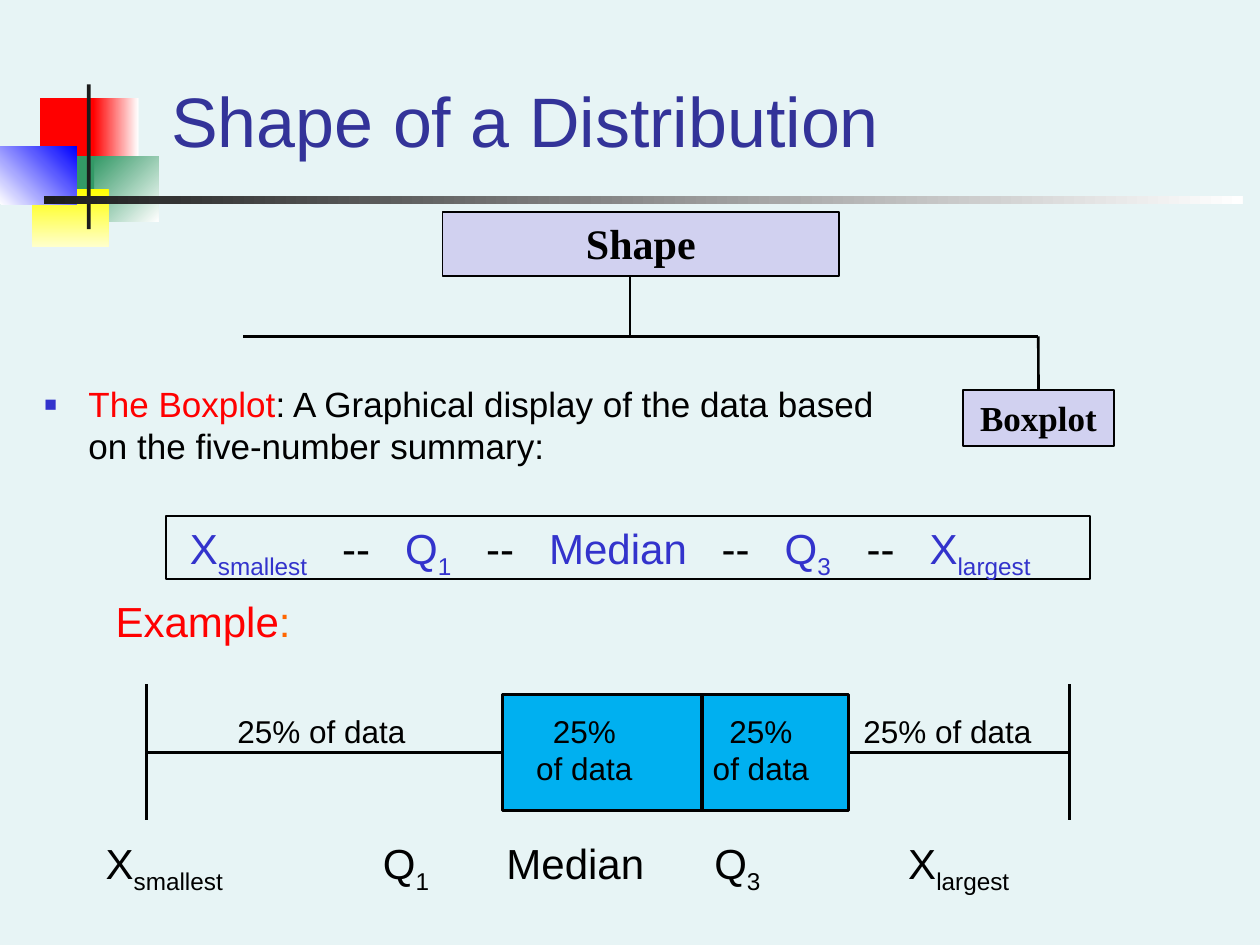
"""Build a slide that explains the boxplot as a view of a distribution's shape."""
from lxml import etree
from pptx import Presentation
from pptx.dml.color import RGBColor
from pptx.enum.shapes import MSO_CONNECTOR, MSO_SHAPE
from pptx.enum.text import MSO_ANCHOR, MSO_AUTO_SIZE, PP_ALIGN
from pptx.oxml.ns import qn
from pptx.util import Cm, Pt

RECT, LINE = MSO_SHAPE.RECTANGLE, MSO_CONNECTOR.STRAIGHT
LEFT, MID = PP_ALIGN.LEFT, PP_ALIGN.CENTER
TOP, LOW = MSO_ANCHOR.TOP, MSO_ANCHOR.BOTTOM
FIXED = MSO_AUTO_SIZE.NONE

BLACK, BLUE, RED = "000000", "3333CC", "FF0000"
LILAC, SKY, SERIF = "D1D1F0", "00B0F0", "Times New Roman"

DECOR = [
    ((0.81, 1.98, 1.22, 1.32), "FF0000", None, 0),
    ((1.88, 1.98, 0.91, 1.32), "FF0000", "FFFFFF", 0),
    ((1.9, 3.15, 1.3, 1.32), "339966", "FFFFFF", 45),
    ((1.09, 3.15, 0.81, 1.32), "339966", None, 0),
    ((0.64, 3.81, 1.55, 1.17), "FFFF00", "FFFFCC", 90),
    ((0, 2.95, 1.55, 1.17), "FFFFFF", "0000FF", 315),
    ((1.75, 1.7, 0.08, 2.92), "1C1C1C", None, 0),
    ((0.89, 3.96, 24.16, 0.15), "1C1C1C", "FFFFFF", 0),
]
INTRO = [("The Boxplot", RED),
         (": A Graphical display of the data based on the five-number summary:", BLACK)]
EXAMPLE = [("Example", RED), (":", "FF6600")]
NAMES = [("X", "smallest"), ("Q", "1"), ("Median", ""), ("Q", "3"), ("X", "largest")]
SHARES = ["\t25% of data\t25%\t25%\t25% of data", "\t\tof data\tof data"]
SUM_TABS = [3.07, 4.34, 5.97, 7.24, 10.72, 11.99, 13.64, 14.91]
NAME_TABS = [5.59, 8.08, 12.27, 16.18]
SHARE_TABS = [2.24, 7.54, 11.1, 14.86]


def rgb(code):
    return RGBColor.from_string(code)


def place(item, box):
    item.left, item.top, item.width, item.height = map(Cm, box)


def add_rect(box, fill=None, end=None, angle=0, line=None):
    rect = slide.shapes.add_shape(RECT, *map(Cm, box))
    rect.shadow.inherit = False
    if end:
        rect.fill.gradient()
        rect.fill.gradient_angle = -angle % 360
        for stop, code in zip(rect.fill.gradient_stops, (fill, end)):
            stop.color.rgb = rgb(code)
    elif fill:
        rect.fill.solid()
        rect.fill.fore_color.rgb = rgb(fill)
    else:
        rect.fill.background()
    if line:
        rect.line.color.rgb = rgb(BLACK)
        rect.line.width = Pt(line)
    else:
        rect.line.fill.background()
    return rect


def add_line(x, y, x2, y2, width, start=None, stop=None):
    line = slide.shapes.add_connector(LINE, *map(Cm, (x, y, x2, y2)))
    line.line.color.rgb = rgb(BLACK)
    line.line.width = Pt(width)
    etree.SubElement(line._element.spPr, qn("a:effectLst"))
    if start:
        line.begin_connect(*start)
    if stop:
        line.end_connect(*stop)


def add_box(box):
    return slide.shapes.add_textbox(*map(Cm, box))


def write(item, rows, size=24, font="Arial", color=BLACK, bold=False,
          align=LEFT, anchor=TOP, wrap=True, tabs=(), tab="l"):
    """Fill a shape with rows of runs: (text, colour, is subscript)."""
    frame = item.text_frame
    frame.word_wrap, frame.vertical_anchor = wrap, anchor
    frame.auto_size = FIXED
    for i, row in enumerate(rows):
        para = frame.add_paragraph() if i else frame.paragraphs[0]
        para.alignment = align
        para.space_before = Pt(0)
        if tabs:
            stops = etree.SubElement(para._p.get_or_add_pPr(), qn("a:tabLst"))
            for pos in tabs:
                etree.SubElement(stops, qn("a:tab"), pos=str(Cm(pos)), algn=tab)
        for text, code, sub in ((*part, None, False)[:3] for part in row):
            run = para.add_run()
            run.text = text
            run.font.size, run.font.name, run.font.bold = Pt(size), font, bold
            run.font.color.rgb = rgb(code or color)
            if sub:
                run._r.get_or_add_rPr().set("baseline", "-25000")


def add_bullet(para):
    props = para._p.get_or_add_pPr()
    props.set("marL", str(Cm(0.89)))
    props.set("indent", str(Cm(-0.89)))
    tint = etree.SubElement(props, qn("a:buClr"))
    etree.SubElement(tint, qn("a:srgbClr"), val=BLUE)
    etree.SubElement(props, qn("a:buSzPct"), val="60000")
    etree.SubElement(props, qn("a:buFont"), typeface="Arial")
    etree.SubElement(props, qn("a:buChar"), char="■")


def join_names(gap, color):
    row = []
    for i, (name, sub) in enumerate(NAMES):
        if i:
            row += [(part, BLACK) for part in gap]
        row.append((name, color))
        if sub:
            row.append((sub, color, True))
    return row


deck = Presentation()
deck.slide_width, deck.slide_height = Cm(25.4), Cm(19.05)
slide = deck.slides.add_slide(deck.slide_layouts[1])
slide.background.fill.solid()
slide.background.fill.fore_color.rgb = rgb("E7F4F5")

for box, fill, end, angle in DECOR:
    add_rect(box, fill, end, angle)

title, body = slide.placeholders
place(title, (3.2, 0.64, 20.5, 2.74))
write(title, [[("Shape of a Distribution",)]], size=40, color="333399", anchor=LOW)
place(body, (0.64, 7.59, 17.78, 2.36))
write(body, [INTRO], size=20)
add_bullet(body.text_frame.paragraphs[0])

add_line(12.7, 5.23, 12.7, 6.78, 1.5)
root = add_rect((8.92, 4.27, 8, 1.3), LILAC, line=1)
leaf = add_rect((19.41, 7.87, 3.05, 1.12), LILAC, line=1)
for item, text, size in ((root, "Shape", 24), (leaf, "Boxplot", 20)):
    write(item, [[(text,)]], size=size, font=SERIF, bold=True, align=MID)
add_line(4.9, 6.78, 20.93, 6.78, 1.5)
add_line(20.93, 6.78, 20.93, 7.87, 1.5, stop=(leaf, 0))

add_rect((3.35, 10.41, 18.62, 1.27), line=1.25)
write(add_box((3.58, 10.41, 18.85, 1.3)), [join_names(["\t--\t"], BLUE)], tabs=SUM_TABS)
write(add_box((2.08, 11.89, 4.04, 1.27)), [EXAMPLE], wrap=False)

plot = add_rect((10.13, 14, 6.98, 2.34), SKY, line=2)
for x in (2.95, 21.56):
    add_line(x, 13.79, x, 16.54, 2)
add_line(2.95, 15.17, 10.13, 15.17, 2, stop=(plot, 1))
add_line(17.11, 15.17, 21.56, 15.17, 2, start=(plot, 3))
add_line(14.15, 14, 14.15, 16.34, 2)
write(add_box((3.99, 14.22, 17.15, 1.78)), [[(text,)] for text in SHARES],
      size=18, tabs=SHARE_TABS, tab="ctr")
write(add_box((1.88, 16.76, 22.05, 1.3)), [join_names(["\t"], BLACK)], tabs=NAME_TABS)

deck.save("out.pptx")
